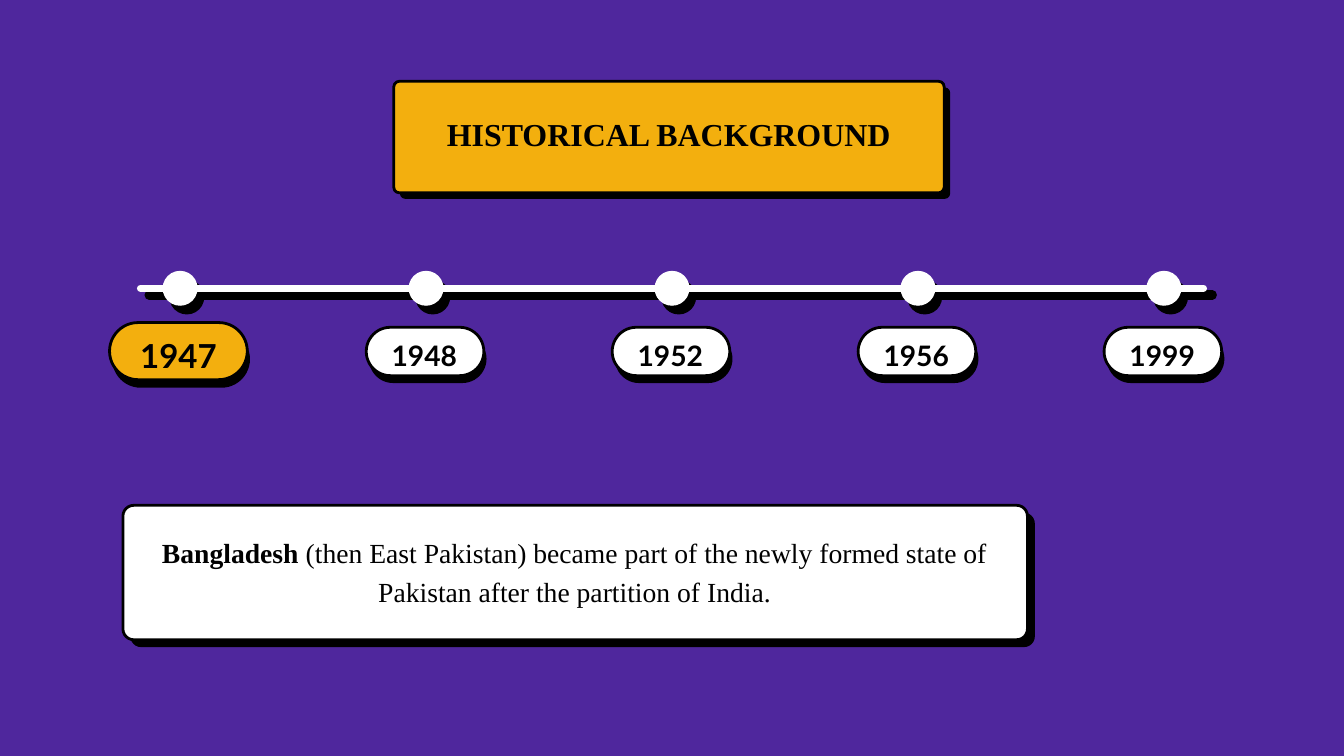
from typing import NamedTuple

from lxml.etree import SubElement
from pptx import Presentation
from pptx.dml.color import RGBColor
from pptx.enum.shapes import MSO_CONNECTOR, MSO_SHAPE
from pptx.enum.text import MSO_ANCHOR, MSO_AUTO_SIZE, PP_ALIGN
from pptx.oxml.ns import qn
from pptx.shapes.base import BaseShape
from pptx.slide import Slide
from pptx.text.text import TextFrame
from pptx.util import Emu, Pt

PX = 9144  # 100 px to the inch
PURPLE = RGBColor(0x4F, 0x27, 0x9D)
GOLD = RGBColor(0xF3, 0xAF, 0x0E)
BLACK = RGBColor(0, 0, 0)
WHITE = RGBColor(0xFF, 0xFF, 0xFF)
SERIF, SANS = "Times New Roman", "Lato"

YEARS = ["1947", "1948", "1952", "1956", "1999"]
YEAR_STEP = 366
DOT_SIZE = 52


class Area(NamedTuple):
    left: int
    top: int
    width: int
    height: int

    def moved(self, right: int, down: int) -> "Area":
        return Area(self.left + right, self.top + down, self.width, self.height)

    def emu(self) -> list[Emu]:
        return [Emu(length * PX) for length in self]


class TextStyle(NamedTuple):
    font: str
    size: float
    line_spacing: float


class Card(NamedTuple):
    area: Area
    rounding: float
    fill: RGBColor
    shadow_offset: tuple[int, int]


class YearLabel(NamedTuple):
    card: Card
    text_area: Area
    style: TextStyle


HEADING_CARD = Card(Area(586, 121, 819, 166), 0.05, GOLD, (9, 9))
STORY_CARD = Card(Area(183, 752, 1346, 200), 0.08, WHITE, (11, 11))
HEADING_STYLE = TextStyle(SERIF, 34.2, 33.9)
STORY_STYLE = TextStyle(SERIF, 29.6, 41.4)
CURRENT_YEAR = YearLabel(
    Card(Area(163, 480, 205, 85), 0.5, GOLD, (4, 12)),
    Area(178, 499, 175, 60), TextStyle(SANS, 35.4, 42.5))
OTHER_YEAR = YearLabel(
    Card(Area(179, 487, 175, 72), 0.5, WHITE, (4, 11)),
    Area(191, 504, 149, 51), TextStyle(SANS, 30.2, 36.2))


def add_filled(page: Slide, kind: MSO_SHAPE, area: Area, fill: RGBColor) -> BaseShape:
    shape = page.shapes.add_shape(kind, *area.emu())
    shape.shadow.inherit = False
    shape.fill.solid()
    shape.fill.fore_color.rgb = fill
    shape.line.fill.background()
    return shape


def add_card(page: Slide, card: Card) -> None:
    """Draw an outlined rounded card over its hard black shadow."""
    kind = MSO_SHAPE.ROUNDED_RECTANGLE
    shadow = add_filled(page, kind, card.area.moved(*card.shadow_offset), BLACK)
    front = add_filled(page, kind, card.area, card.fill)
    front.line.color.rgb = BLACK
    front.line.width = Pt(3)
    for shape in (shadow, front):
        shape.adjustments[0] = card.rounding


def add_timeline(page: Slide, start: int, end: int, top: int,
                 color: RGBColor, weight: float) -> None:
    line = page.shapes.add_connector(
        MSO_CONNECTOR.STRAIGHT, start * PX, top * PX, end * PX, top * PX)
    line.line.color.rgb = color
    line.line.width = Pt(weight)
    properties = line.element.spPr
    properties.find(qn("a:ln")).set("cap", "rnd")
    SubElement(properties, qn("a:effectLst"))


def add_dots(page: Slide, left: int, top: int, color: RGBColor) -> None:
    first = Area(left, top, DOT_SIZE, DOT_SIZE)
    for index in range(len(YEARS)):
        add_filled(page, MSO_SHAPE.OVAL, first.moved(index * YEAR_STEP, 0), color)


def write(frame: TextFrame, spans: list[tuple[str, bool]], style: TextStyle) -> None:
    """Fill a frame with one centred paragraph of (text, bold) spans."""
    frame.margin_left = frame.margin_top = frame.margin_right = frame.margin_bottom = 0
    frame.word_wrap = True
    frame.auto_size = MSO_AUTO_SIZE.NONE
    frame.vertical_anchor = MSO_ANCHOR.TOP
    para = frame.paragraphs[0]
    para.alignment = PP_ALIGN.CENTER
    para.line_spacing = Pt(style.line_spacing)
    para.font.name = style.font
    para.font.size = Pt(style.size)
    para.font.color.rgb = BLACK
    for text, bold in spans:
        span = para.add_run()
        span.text = text
        span.font.bold = bold


def add_text(page: Slide, area: Area, spans: list[tuple[str, bool]],
             style: TextStyle) -> None:
    write(page.shapes.add_textbox(*area.emu()).text_frame, spans, style)


def add_heading(page: Slide) -> None:
    add_card(page, HEADING_CARD)
    title = page.shapes.title
    title.left, title.top, title.width, title.height = Area(636, 181, 718, 48).emu()
    write(title.text_frame, [("HISTORICAL BACKGROUND", True)], HEADING_STYLE)
    page.shapes.element.append(title.element)  # bring in front of its card


def add_years(page: Slide) -> None:
    for index, year in enumerate(YEARS):
        label = OTHER_YEAR if index else CURRENT_YEAR
        shift = index * YEAR_STEP
        add_card(page, label.card._replace(area=label.card.area.moved(shift, 0)))
        add_text(page, label.text_area.moved(shift, 0), [(year, True)], label.style)


def main() -> None:
    deck = Presentation()
    deck.slide_width, deck.slide_height = Emu(2000 * PX), Emu(1125 * PX)
    page = deck.slides.add_slide(deck.slide_layouts.get_by_name("Title Only"))
    page.background.fill.solid()
    page.background.fill.fore_color.rgb = PURPLE

    add_heading(page)
    add_timeline(page, 222, 1804, 439, BLACK, 10)
    add_dots(page, 252, 416, BLACK)
    add_timeline(page, 209, 1791, 429, WHITE, 7.5)
    add_dots(page, 242, 403, WHITE)
    add_years(page)
    add_card(page, STORY_CARD)
    add_text(page, Area(228, 790, 1255, 116), [
        ("Bangladesh", True),
        (" (then East Pakistan) became part of the newly formed state of "
         "Pakistan after the partition of India.", False),
    ], STORY_STYLE)
    deck.save("out.pptx")


if __name__ == "__main__":
    main()
